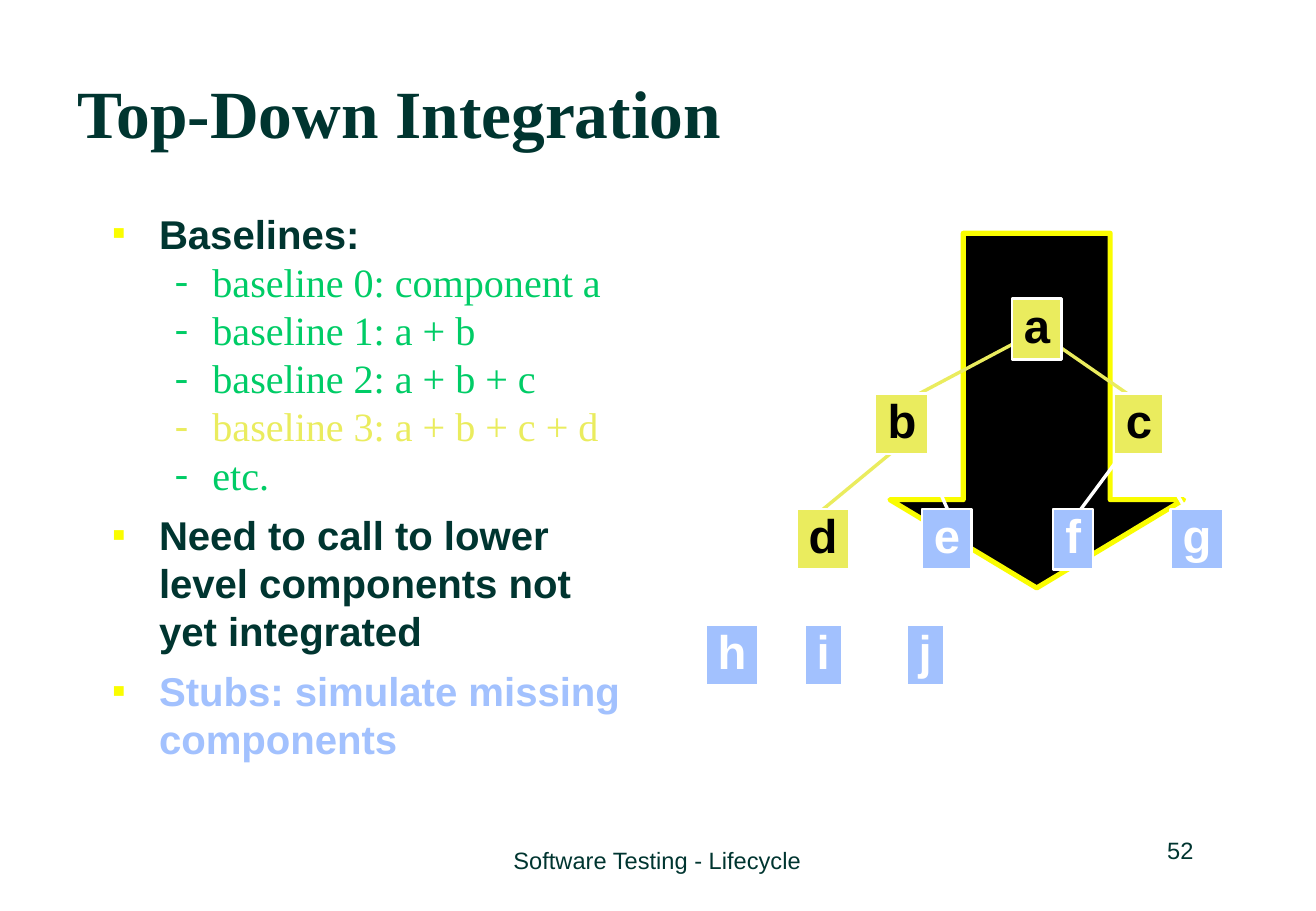
from lxml.etree import SubElement
from pptx import Presentation
from pptx.dml.color import RGBColor
from pptx.enum.shapes import MSO_CONNECTOR as CONN, MSO_SHAPE as SHAPE
from pptx.enum.text import MSO_ANCHOR as ANCHOR, MSO_AUTO_SIZE as AUTO, PP_ALIGN as ALIGN
from pptx.oxml.ns import qn
from pptx.util import Inches, Pt

DARK, GREEN, LIME, BLUE = "003530", "00CC66", "EAEC5E", "A2C1FE"
YELLOW, WHITE, BLACK = "FAFD00", "FFFFFF", "000000"
SANS, SERIF = "Arial", "Times New Roman"

TITLE = "Top-Down Integration"
BODY = [
    (0, ["Baselines:"], DARK),
    (1, ["baseline 0: component a"], GREEN),
    (1, ["baseline 1: a + b"], GREEN),
    (1, ["baseline 2: a + b + c"], GREEN),
    (1, ["baseline 3: a + b + c + d"], LIME),
    (1, ["etc."], GREEN),
    (0, ["Need to call to lower", "level components not", "yet integrated"], DARK),
    (0, ["Stubs: simulate missing", "components"], BLUE),
]
LEVELS = [
    dict(left=0.38, hang=0.38, before=7, char="■", size=50, font=SANS, bold=True),
    dict(left=0.82, hang=0.31, before=0, char="-", size=100, font=SERIF, bold=False),
]
FOOTERS = [
    ("Software Testing - Lifecycle", (3.7, 6.83, 3.43, 0.5), ALIGN.CENTER),
    ("52", (7.67, 6.75, 2.26, 0.5), ALIGN.RIGHT),
]
ROW_TOPS = [2.46, 3.24, 4.19, 5.14]
BOX_H = 0.5
INTEGRATED = "abcd"
NODES = [
    [("a", 8.54, 0.41)],
    [("b", 7.43, 0.44), ("c", 9.38, 0.41)],
    [("d", 6.78, 0.44), ("e", 7.8, 0.41), ("f", 8.84, 0.33), ("g", 9.86, 0.44)],
    [("h", 6.03, 0.44), ("i", 6.78, 0.31), ("j", 7.62, 0.31)],
]
EDGES = [
    ((7.58, 3.68), (7.83, 4.25), WHITE),
    ((9.41, 3.51), (8.86, 4.25), WHITE),
    ((9.4, 3.56), (9.8, 4.25), WHITE),
    ((8.48, 2.76), (7.46, 3.3), LIME),
    ((8.59, 2.76), (9.4, 3.32), LIME),
    ((7.4, 3.68), (6.71, 4.25), LIME),
]


def rgb(color):
    return RGBColor.from_string(color)


def place(sp, box):
    sp.left, sp.top, sp.width, sp.height = map(Inches, box)


def add_run(p, text, size, font, color, bold=False):
    r = p.add_run()
    r.text = text
    r.font.size, r.font.name, r.font.bold = Pt(size), font, bold
    r.font.color.rgb = rgb(color)


def set_bullet(p, level, color):
    pPr = p._p.get_or_add_pPr()
    pPr.set("marL", str(Inches(level["left"])))
    pPr.set("indent", str(-Inches(level["hang"])))
    SubElement(SubElement(pPr, qn("a:buClr")), qn("a:srgbClr"), val=color)
    SubElement(pPr, qn("a:buSzPct"), val=str(level["size"] * 1000))
    SubElement(pPr, qn("a:buFont"), typeface=level["font"])
    SubElement(pPr, qn("a:buChar"), char=level["char"])


def fill_body(sp):
    place(sp, (0.83, 1.67, 9.21, 4.67))
    tf = sp.text_frame
    tf.auto_size = AUTO.NONE
    for i, (depth, lines, color) in enumerate(BODY):
        p = tf.paragraphs[0] if i == 0 else tf.add_paragraph()
        level = LEVELS[depth]
        p.level = depth
        set_bullet(p, level, YELLOW if depth == 0 else color)
        p.space_before = Pt(level["before"] if i else 0)
        for n, line in enumerate(lines):
            if n:
                p.add_line_break()
            add_run(p, line, 23.8, level["font"], color, level["bold"])


def add_shape(slide, kind, box, fill, line, weight):
    sp = slide.shapes.add_shape(kind, *map(Inches, box))
    sp.shadow.inherit = False
    sp.fill.solid()
    sp.fill.fore_color.rgb = rgb(fill)
    sp.line.color.rgb = rgb(line)
    sp.line.width = Pt(weight)
    return sp


def add_edge(slide, start, end, color):
    line = slide.shapes.add_connector(CONN.STRAIGHT, *map(Inches, start + end))
    line.line.color.rgb = rgb(color)
    line.line.width = Pt(2)
    SubElement(line._element.spPr, qn("a:effectLst"))


def add_node(slide, letter, center, top, width):
    fill, ink = (LIME, BLACK) if letter in INTEGRATED else (BLUE, WHITE)
    box = (center - width / 2, top, width, BOX_H)
    tf = add_shape(slide, SHAPE.RECTANGLE, box, fill, WHITE, 1.5).text_frame
    tf.word_wrap, tf.auto_size = False, AUTO.SHAPE_TO_FIT_TEXT
    tf.vertical_anchor = ANCHOR.MIDDLE
    p = tf.paragraphs[0]
    p.alignment, p.line_spacing = ALIGN.CENTER, 0.85
    add_run(p, letter, 28, SANS, ink, True)


def main():
    """Build the top-down integration slide."""
    prs = Presentation()
    prs.slide_width, prs.slide_height = Inches(10.84), Inches(7.5)
    s = prs.slides.add_slide(prs.slide_layouts[1])

    title = s.shapes.title
    place(title, (0.54, 0.58, 9.21, 0.67))
    tf = title.text_frame
    tf.auto_size, tf.vertical_anchor = AUTO.NONE, ANCHOR.MIDDLE
    tf.paragraphs[0].alignment = ALIGN.LEFT
    add_run(tf.paragraphs[0], TITLE, 40, SERIF, DARK, True)
    fill_body(s.placeholders[1])

    for text, box, align in FOOTERS:
        tf = s.shapes.add_textbox(*map(Inches, box)).text_frame
        tf.word_wrap, tf.vertical_anchor = False, ANCHOR.MIDDLE
        tf.paragraphs[0].alignment = align
        add_run(tf.paragraphs[0], text, 14, SANS, DARK)

    arrow = add_shape(s, SHAPE.DOWN_ARROW, (7.33, 1.92, 2.42, 2.92), BLACK, YELLOW, 3)
    arrow.adjustments[0], arrow.adjustments[1] = 0.5, 0.3
    for start, end, color in EDGES:
        add_edge(s, start, end, color)
    for top, row in zip(ROW_TOPS, NODES):
        for letter, center, width in row:
            add_node(s, letter, center, top, width)

    prs.save("out.pptx")


if __name__ == "__main__":
    main()
